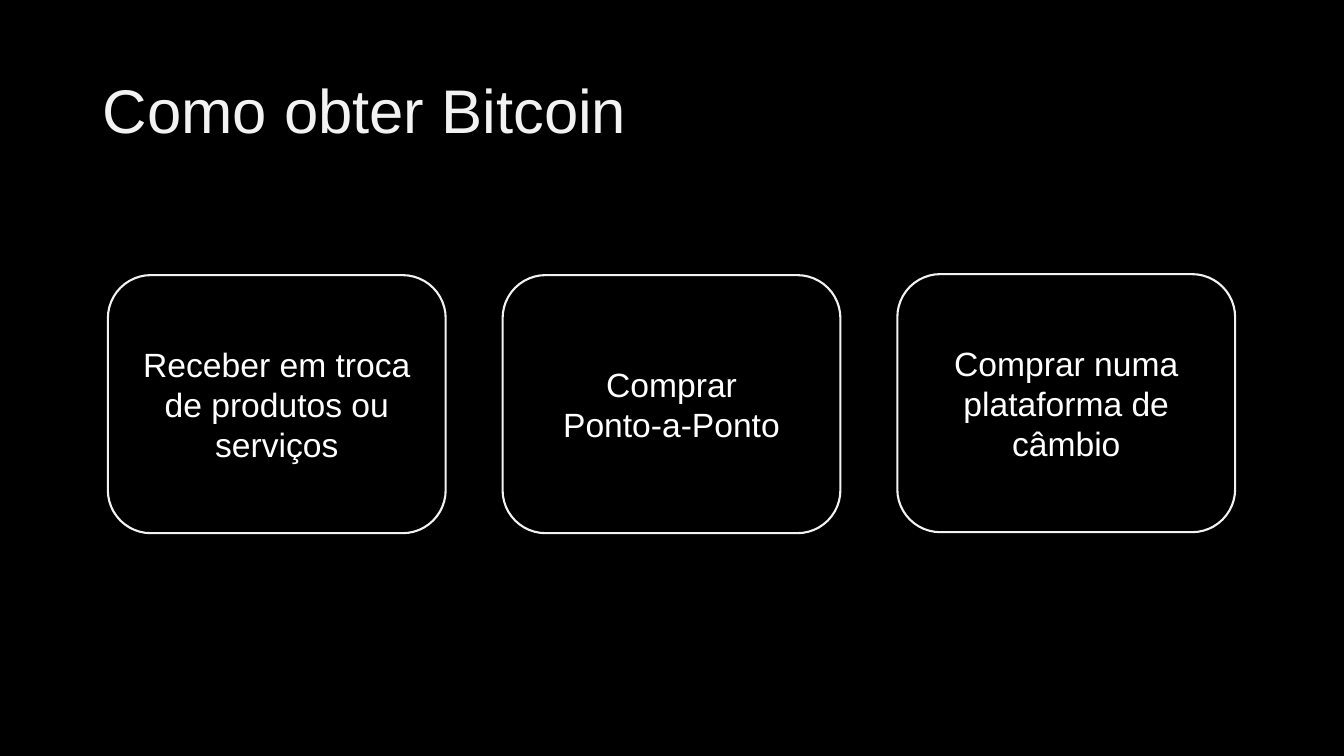
"""Build the slide that shows three ways to obtain Bitcoin."""
from dataclasses import dataclass

from pptx import Presentation
from pptx.dml.color import RGBColor
from pptx.enum.shapes import MSO_SHAPE as Shape
from pptx.enum.text import MSO_ANCHOR as Anchor, PP_ALIGN as Align
from pptx.slide import Slide
from pptx.text.text import TextFrame
from pptx.util import Inches, Pt

COLOURS = {"black": "000000", "light": "F2F2F2", "white": "FFFFFF"}
FONT = "Arial"
CARD_LEFT, CARD_STEP = 1.07, 3.915
CARD_WIDTH, CARD_HEIGHT = 3.35, 2.56


@dataclass(frozen=True)
class Card:
    lines: tuple[str, ...]
    top: float = 2.73


CARDS = (
    Card(("Receber em troca de produtos ou serviços",)),
    Card(("Comprar", "Ponto-a-Ponto")),
    Card(("Comprar numa plataforma de câmbio",), top=2.72),
)


def colour(name: str) -> RGBColor:
    return RGBColor.from_string(COLOURS[name])


def write(frame: TextFrame, lines: tuple[str, ...], size: int, ink: str,
          align: Align, spacing: float = 1.0) -> None:
    frame.word_wrap = True
    frame.vertical_anchor = Anchor.MIDDLE
    paragraph = frame.paragraphs[0]
    paragraph.alignment = align
    paragraph.line_spacing = spacing
    for index, line in enumerate(lines):
        if index:
            paragraph.add_line_break()
        run = paragraph.add_run()
        run.text = line
        run.font.name = FONT
        run.font.size = Pt(size)
        run.font.color.rgb = colour(ink)


def draw_title(slide: Slide, title: str) -> None:
    box = slide.shapes.add_textbox(Inches(0.92), Inches(0.4), Inches(11.5), Inches(1.45))
    write(box.text_frame, (title,), 44, "light", Align.LEFT, 0.9)


def draw_card(slide: Slide, card: Card, column: int) -> None:
    shape = slide.shapes.add_shape(
        Shape.ROUNDED_RECTANGLE, Inches(CARD_LEFT + column * CARD_STEP),
        Inches(card.top), Inches(CARD_WIDTH), Inches(CARD_HEIGHT))
    shape.shadow.inherit = False
    shape.fill.solid()
    shape.fill.fore_color.rgb = colour("black")
    shape.line.color.rgb = colour("light")
    shape.line.width = Pt(1.5)
    write(shape.text_frame, card.lines, 24, "white", Align.CENTER)


def main() -> None:
    presentation = Presentation()
    presentation.slide_width = Inches(13.33)
    presentation.slide_height = Inches(7.5)
    slide = presentation.slides.add_slide(presentation.slide_layouts[6])
    slide.background.fill.solid()
    slide.background.fill.fore_color.rgb = colour("black")
    draw_title(slide, "Como obter Bitcoin")
    for column, card in enumerate(CARDS):
        draw_card(slide, card, column)
    presentation.save("out.pptx")


if __name__ == "__main__":
    main()
